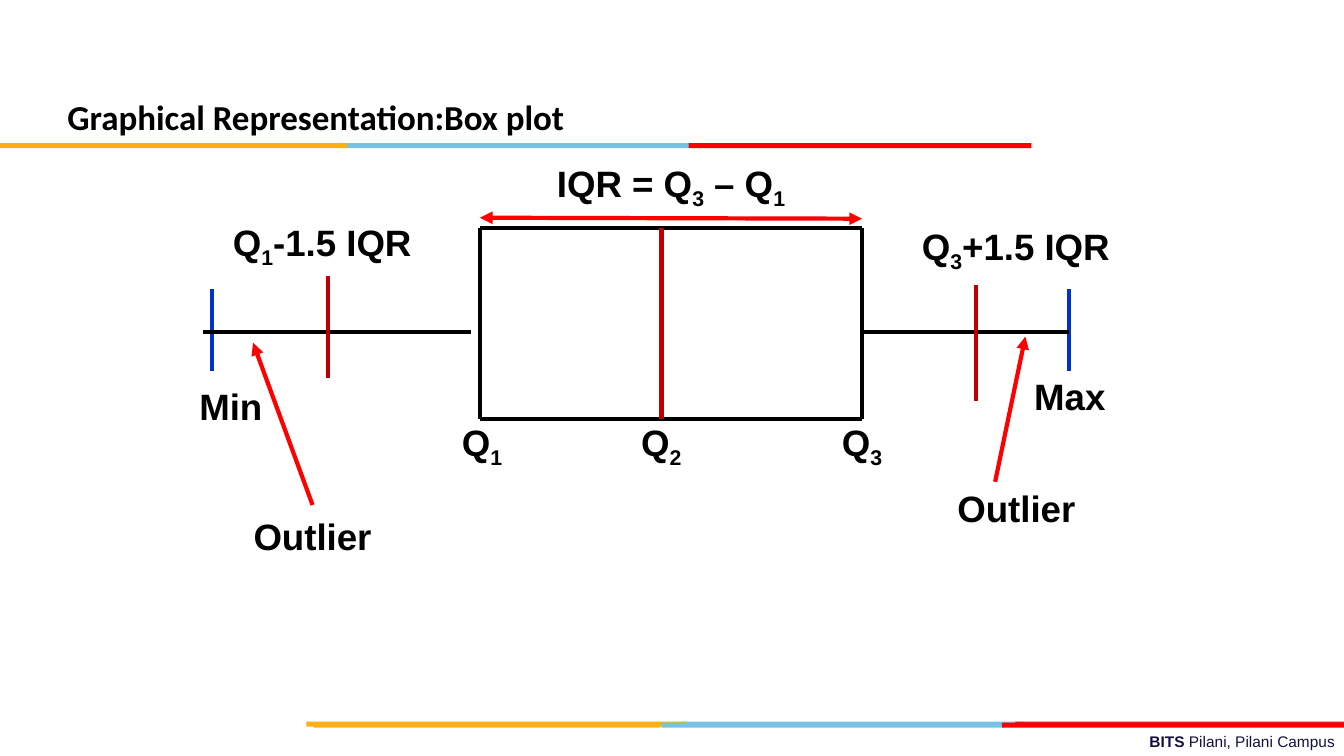
from typing import NamedTuple

from lxml.etree import SubElement
from pptx import Presentation
from pptx.dml.color import RGBColor
from pptx.enum.shapes import MSO_CONNECTOR, MSO_SHAPE
from pptx.enum.text import MSO_ANCHOR, PP_ALIGN
from pptx.oxml.ns import qn
from pptx.util import Inches, Pt

COLORS = {
    "black": "000000", "blue": "0033CC", "crimson": "C00000", "red": "FF0000",
    "gold": "FCB017", "sky": "76C2E5", "brick": "E31C24", "navy": "101141",
}


class Bar(NamedTuple):
    left: float
    top: float
    width: float
    color: str


class Line(NamedTuple):
    start: tuple[float, float]
    end: tuple[float, float]
    color: str
    heads: tuple[str, ...] = ()


class Run(NamedTuple):
    text: str
    bold: bool = True
    sub: bool = False


class Label(NamedTuple):
    left: float
    top: float
    width: float
    runs: tuple[Run, ...]
    height: float = 0.51
    size: float = 26.2
    font: str = "Arial"
    color: str = "black"
    align: PP_ALIGN = PP_ALIGN.CENTER
    inset: tuple[float, float] = (0.06, 0.03)
    anchor: MSO_ANCHOR = MSO_ANCHOR.MIDDLE
    indent: float = 0
    space: float = 1


def paint(name: str) -> RGBColor:
    return RGBColor.from_string(COLORS[name])


def draw_bar(slide, bar: Bar) -> None:
    shape = slide.shapes.add_shape(
        MSO_SHAPE.RECTANGLE, Inches(bar.left), Inches(bar.top),
        Inches(bar.width), Inches(0.05))
    shape.shadow.inherit = False
    shape.fill.solid()
    shape.fill.fore_color.rgb = paint(bar.color)
    shape.line.fill.background()


def draw_line(slide, line: Line) -> None:
    ends = [Inches(value) for value in (*line.start, *line.end)]
    shape = slide.shapes.add_connector(MSO_CONNECTOR.STRAIGHT, *ends)
    shape.line.color.rgb = paint(line.color)
    shape.line.width = Pt(3)
    stroke = shape.line._get_or_add_ln()
    for head in line.heads:
        SubElement(stroke, qn(f"a:{head}"), type="triangle")
    SubElement(shape._element.spPr, qn("a:effectLst"))


def draw_label(slide, label: Label) -> None:
    box = slide.shapes.add_textbox(
        Inches(label.left), Inches(label.top),
        Inches(label.width), Inches(label.height))
    frame = box.text_frame
    frame.word_wrap = True
    frame.vertical_anchor = label.anchor
    side, edge = label.inset
    frame.margin_left = frame.margin_right = Inches(side)
    frame.margin_top = frame.margin_bottom = Inches(edge)
    para = frame.paragraphs[0]
    para.alignment = label.align
    para.line_spacing = label.space
    if label.indent:
        props = para._p.get_or_add_pPr()
        props.set("marL", str(Inches(label.indent)))
        props.set("indent", "0")
    for part in label.runs:
        run = para.add_run()
        run.text = part.text
        run.font.name = label.font
        run.font.size = Pt(label.size)
        run.font.bold = part.bold
        run.font.color.rgb = paint(label.color)
        if part.sub:
            run._r.get_or_add_rPr().set("baseline", "-25000")


def quart(index: int, lead: str = "Q") -> tuple[Run, Run]:
    return Run(lead), Run(str(index), sub=True)


Q1, Q2, Q3 = 4.76, 6.56, 8.55
TOP, BASE, AXIS = 2.26, 4.16, 3.29
MIN, MAX = 2.1, 10.6

BARS = [
    Bar(6.75, 7.16, 3.4, "sky"),
    Bar(10.07, 7.16, 3.26, "brick"),
    Bar(3.04, 7.16, 3.76, "gold"),
    Bar(6.56, 7.17, 3.4, "sky"),
    Bar(3.11, 7.17, 3.44, "gold"),
    Bar(9.94, 7.17, 3.39, "red"),
    Bar(3.44, 1.42, 3.4, "sky"),
    Bar(0, 1.42, 3.44, "gold"),
    Bar(6.83, 1.42, 3.4, "red"),
]

LINES = [
    Line((Q1, TOP), (Q1, BASE), "black"),
    Line((Q1, TOP), (Q3, TOP), "black"),
    Line((Q1, BASE), (Q3, BASE), "black"),
    Line((Q3, TOP), (Q3, BASE), "black"),
    Line((Q2, TOP), (Q2, BASE), "crimson"),
    Line((MIN, 2.87), (MIN, 3.68), "blue"),
    Line((MAX, 2.87), (MAX, 3.68), "blue"),
    Line((Q3, AXIS), (MAX, AXIS), "black"),
    Line((2.01, AXIS), (4.67, AXIS), "black"),
    Line((3.25, 2.74), (3.25, 3.75), "crimson"),
    Line((9.68, 2.83), (9.68, 3.98), "crimson"),
    Line((3.1, 5.01), (2.51, 3.4), "red", ("tailEnd",)),
    Line((9.87, 4.78), (10.17, 3.34), "red", ("tailEnd",)),
    Line((Q1, 2.16), (Q3, 2.17), "red", ("headEnd", "tailEnd")),
]

LABELS = [
    Label(4.78, 7.21, 8.56, (Run("BITS "), Run("Pilani, Pilani Campus", False)),
          height=0.29, size=11, color="navy", align=PP_ALIGN.RIGHT,
          inset=(0.1, 0.05), anchor=MSO_ANCHOR.TOP),
    Label(0.07, 0.69, 9.21, (Run("Graphical Representation:Box plot"),),
          height=0.67, size=25, font="Calibri", align=PP_ALIGN.LEFT,
          inset=(0.1, 0.05), anchor=MSO_ANCHOR.TOP, indent=0.5, space=1.5),
    Label(4.42, BASE, 0.72, quart(1)),
    Label(6.26, BASE, 0.6, quart(2)),
    Label(8.25, BASE, 0.6, quart(3)),
    Label(2.17, 2.17, 2.05, (*quart(1), Run("-1.5 IQR"))),
    Label(9.05, 2.21, 2.05, (*quart(3), Run("+1.5 IQR"))),
    Label(10.17, 3.67, 0.88, (Run("Max"),)),
    Label(1.85, 3.77, 0.88, (Run("Min"),)),
    Label(2.36, 5.06, 1.48, (Run("Outlier"),)),
    Label(9.34, 4.78, 1.48, (Run("Outlier"),)),
    Label(5.35, 1.59, 2.61, (*quart(3, "IQR = Q"), *quart(1, " – Q"))),
]


def main() -> None:
    deck = Presentation()
    deck.slide_width = Inches(13.33)
    deck.slide_height = Inches(7.5)
    slide = deck.slides.add_slide(deck.slide_layouts[6])
    for bar in BARS:
        draw_bar(slide, bar)
    for line in LINES:
        draw_line(slide, line)
    for label in LABELS:
        draw_label(slide, label)
    deck.save("out.pptx")


if __name__ == "__main__":
    main()
